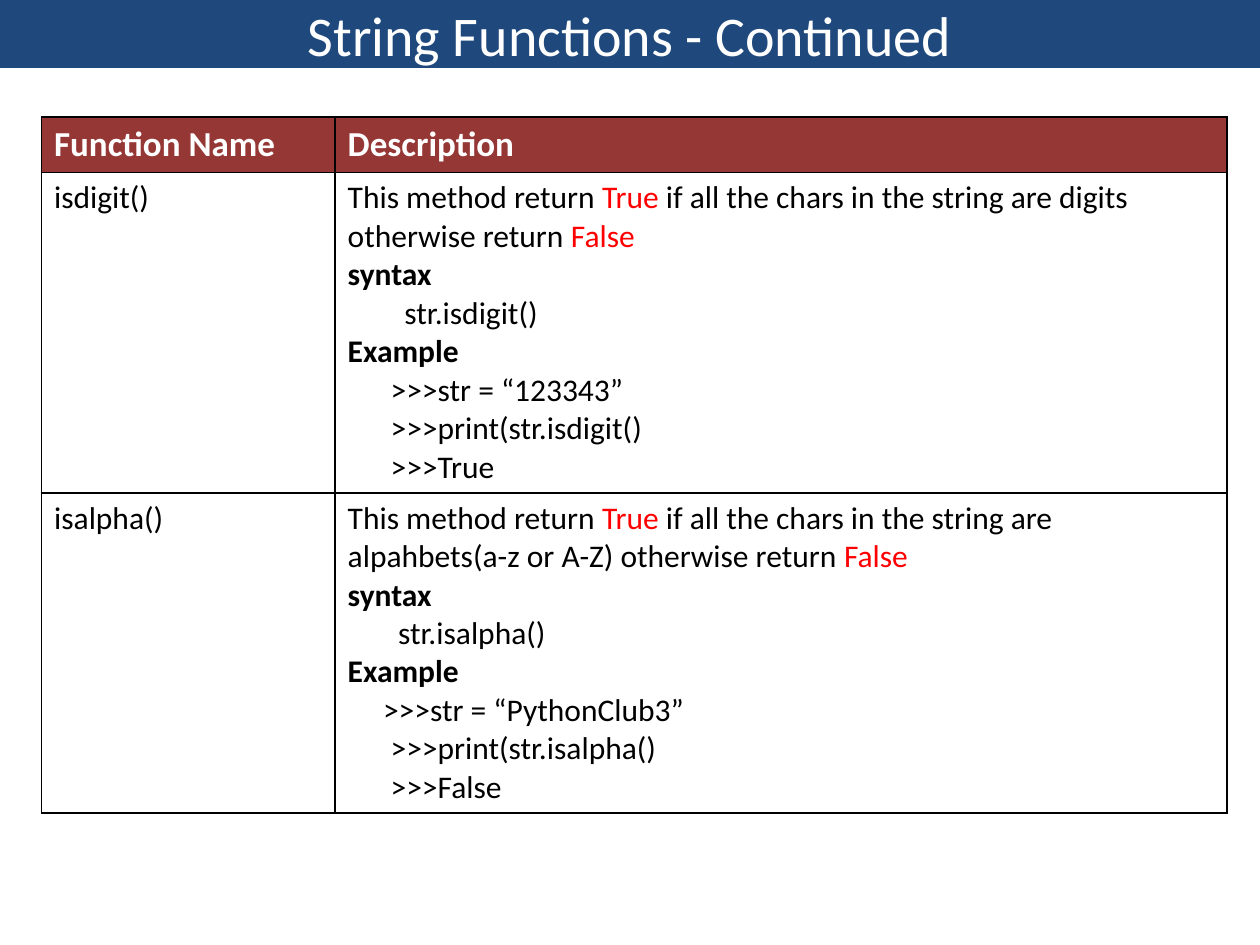
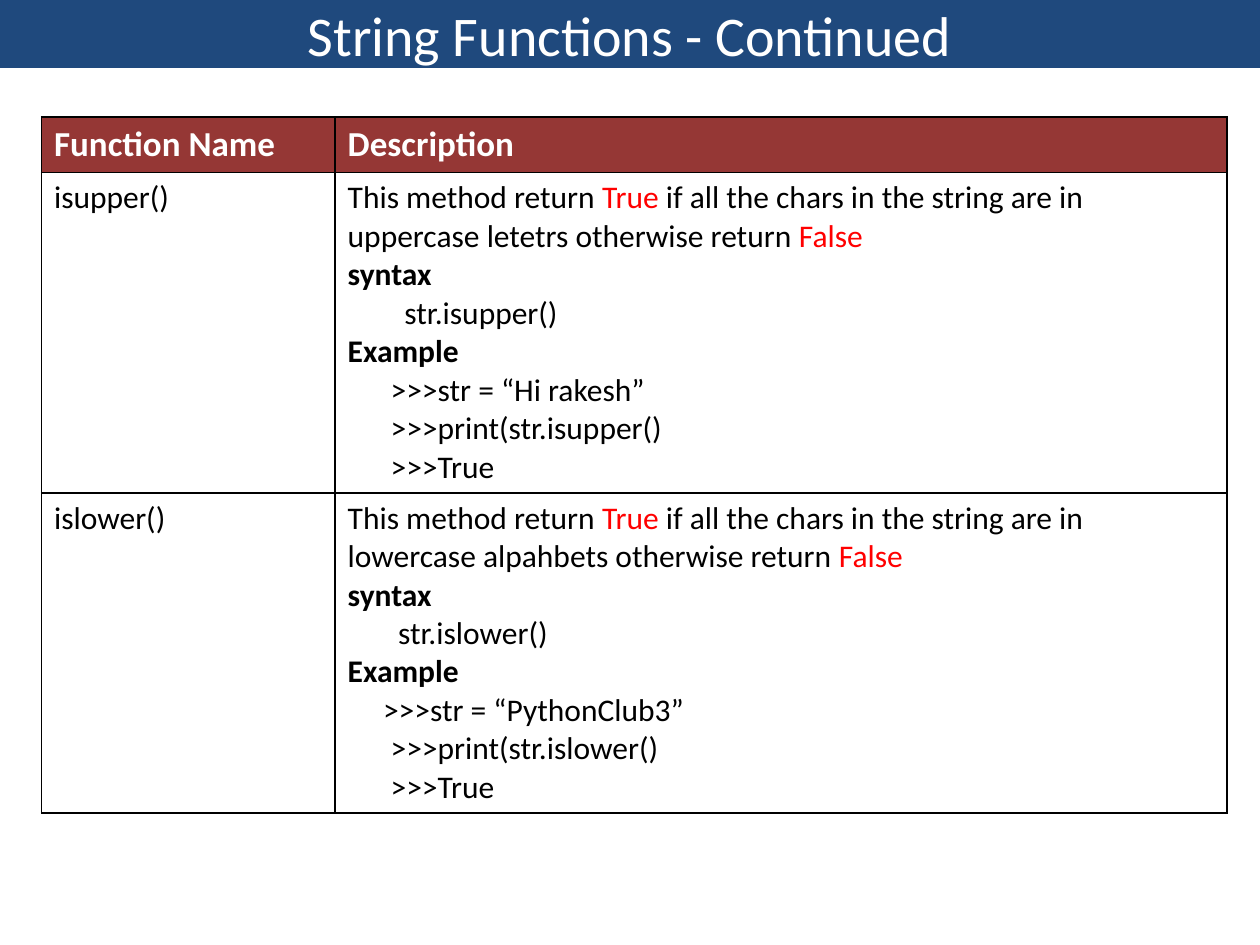
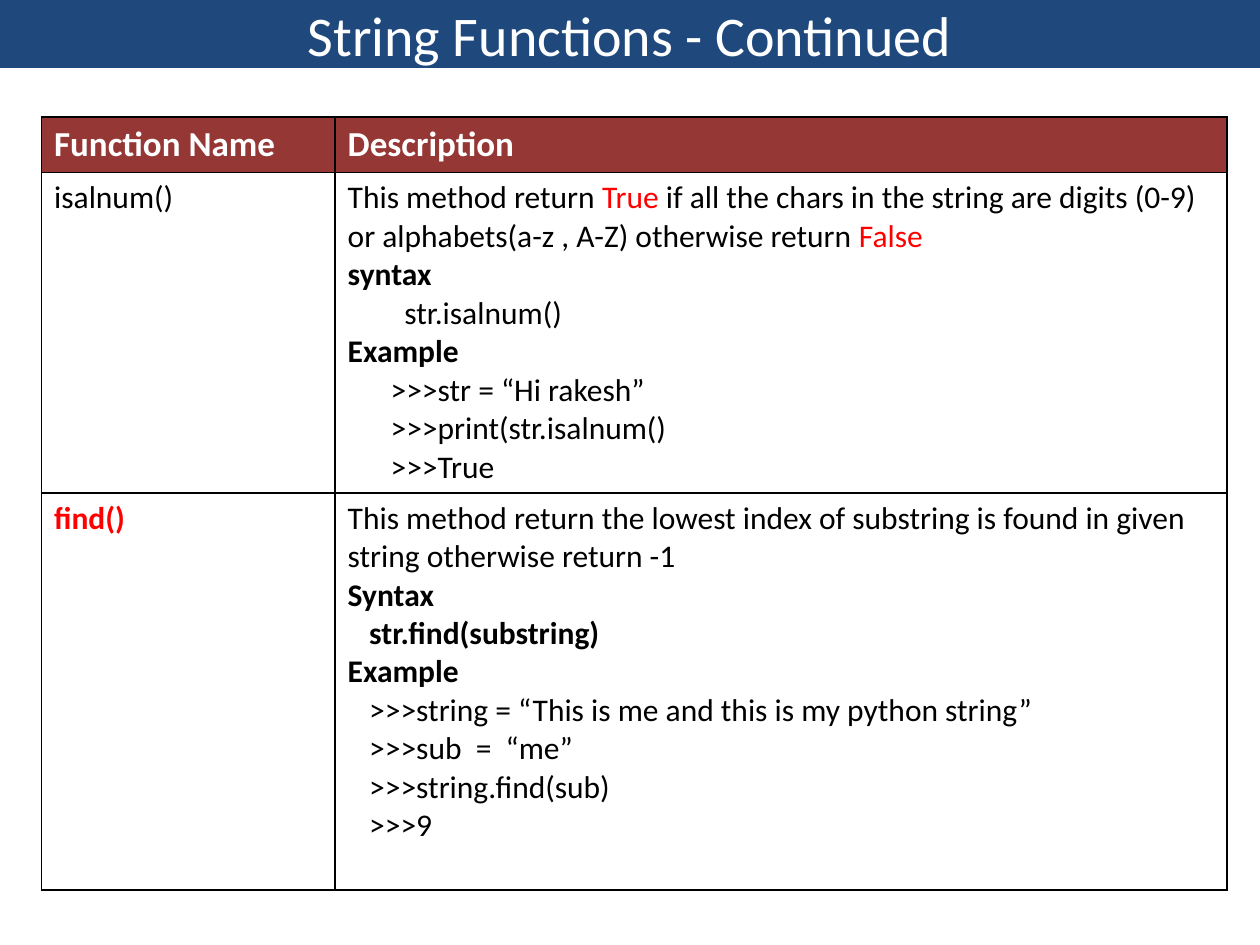
"""Build three slides that list Python string functions."""
from lxml.etree import SubElement
from pptx import Presentation
from pptx.dml.color import RGBColor
from pptx.enum.shapes import MSO_SHAPE
from pptx.enum.text import MSO_ANCHOR, PP_ALIGN
from pptx.oxml.ns import qn
from pptx.util import Inches, Pt

NAVY = RGBColor(0x1F, 0x49, 0x7D)
BRICK = RGBColor(0x95, 0x37, 0x35)
RED = RGBColor(0xFF, 0, 0)
BLACK = RGBColor(0, 0, 0)
WHITE = RGBColor(0xFF, 0xFF, 0xFF)

TITLE = "String Functions - Continued"
HEADS = ("Function Name", "Description")
WIDTHS = (2.33, 7.08)


def write(par, text, size=18, color=BLACK, bold=False, indent=0, align=PP_ALIGN.LEFT):
    """Fill a paragraph; parts between bars turn red."""
    par.alignment = align
    par._p.get_or_add_pPr().set("marL", str(Inches(indent)))
    for pos, part in enumerate(text.split("|")):
        if part:
            run = par.add_run()
            run.text = part
            font = run.font
            font.name, font.size, font.bold = "Calibri", Pt(size), bold
            font.color.rgb = RED if pos % 2 else color


def test(name, rule, value, result, call=0.45, first=0.34):
    """Return the row of a function that tests all chars."""
    lines = [
        (f"This method return |True| if all the chars in the string are {rule} otherwise return |False|", {}),
        ("syntax", {"bold": True}),
        (f"str.{name}()", {"indent": call}),
        ("Example", {"bold": True}),
        (f">>>str = “{value}”", {"indent": first}),
        (f">>>print(str.{name}()", {"indent": 0.34}),
        (f">>>{result}", {"indent": 0.34}),
    ]
    return 2.54, [(f"{name}()", {})], lines


FIND = (
    3.15,
    [("find()", {"color": RED, "bold": True})],
    [
        ("This method return the lowest index of substring is found in given string otherwise return -1", {}),
        ("Syntax", {"bold": True}),
        ("str.find(substring)", {"bold": True, "indent": 0.17}),
        ("Example", {"bold": True}),
        (">>>string = “This is me and this is my python string”", {"indent": 0.17}),
        (">>>sub  =  “me”", {"indent": 0.17}),
        (">>>string.find(sub)", {"indent": 0.17}),
        (">>>9", {"indent": 0.17}),
    ],
)

LOW = {"call": 0.4, "first": 0.28}
PAGES = [
    [test("isdigit", "digits", "123343", "True"),
     test("isalpha", "alpahbets(a-z or A-Z)", "PythonClub3", "False", **LOW)],
    [test("isupper", "in uppercase letetrs", "Hi rakesh", "True"),
     test("islower", "in lowercase alpahbets", "PythonClub3", "True", **LOW)],
    [test("isalnum", "digits (0-9) or alphabets(a-z , A-Z)", "Hi rakesh", "True"), FIND],
]


class Deck:
    """Hold the file, its style and the current slide."""

    def __init__(self):
        """Start an empty file."""
        self.file = Presentation()
        self.file.slide_width, self.file.slide_height = Inches(10), Inches(7.5)
        self.slide = None

    def page(self):
        """Add a blank slide."""
        self.slide = self.file.slides.add_slide(self.file.slide_layouts[6])

    def band(self, text):
        """Draw the title band."""
        shape = self.slide.shapes.add_shape(
            MSO_SHAPE.RECTANGLE, 0, 0, self.file.slide_width, Inches(0.54))
        shape.shadow.inherit = False
        shape.fill.solid()
        shape.fill.fore_color.rgb = NAVY
        shape.line.fill.background()
        frame = shape.text_frame
        frame.margin_left = frame.margin_right = frame.margin_top = frame.margin_bottom = 0
        frame.vertical_anchor = MSO_ANCHOR.MIDDLE
        frame.word_wrap = True
        write(frame.paragraphs[0], text, size=32, color=WHITE, align=PP_ALIGN.CENTER)

    def cell(self, cell, lines, fill=None):
        """Frame, fill and write one cell."""
        props = cell._tc.get_or_add_tcPr()
        for side in ("a:lnL", "a:lnR", "a:lnT", "a:lnB"):
            edge = SubElement(props, qn(side), w=str(Pt(1)))
            paint = SubElement(edge, qn("a:solidFill"))
            SubElement(paint, qn("a:srgbClr"), val=str(BLACK))
        if fill is None:
            cell.fill.background()
        else:
            cell.fill.solid()
            cell.fill.fore_color.rgb = fill
        frame = cell.text_frame
        for pos, (text, style) in enumerate(lines):
            write(frame.add_paragraph() if pos else frame.paragraphs[0], text, **style)

    def table(self, rows):
        """Draw the function table."""
        highs = [0.44] + [row[0] for row in rows]
        table = self.slide.shapes.add_table(
            len(highs), len(WIDTHS), Inches(0.33), Inches(0.93),
            Inches(sum(WIDTHS)), Inches(sum(highs))).table
        table.horz_banding = False
        for col, width in zip(table.columns, WIDTHS):
            col.width = Inches(width)
        for row, high in zip(table.rows, highs):
            row.height = Inches(high)
        for col, head in enumerate(HEADS):
            style = {"size": 20, "color": WHITE, "bold": True}
            self.cell(table.cell(0, col), [(head, style)], BRICK)
        for pos, (_, *parts) in enumerate(rows, 1):
            for col, lines in enumerate(parts):
                self.cell(table.cell(pos, col), lines)


def main():
    """Build and save the slides."""
    deck = Deck()
    for rows in PAGES:
        deck.page()
        deck.band(TITLE)
        deck.table(rows)
    deck.file.save("out.pptx")


if __name__ == "__main__":
    main()
